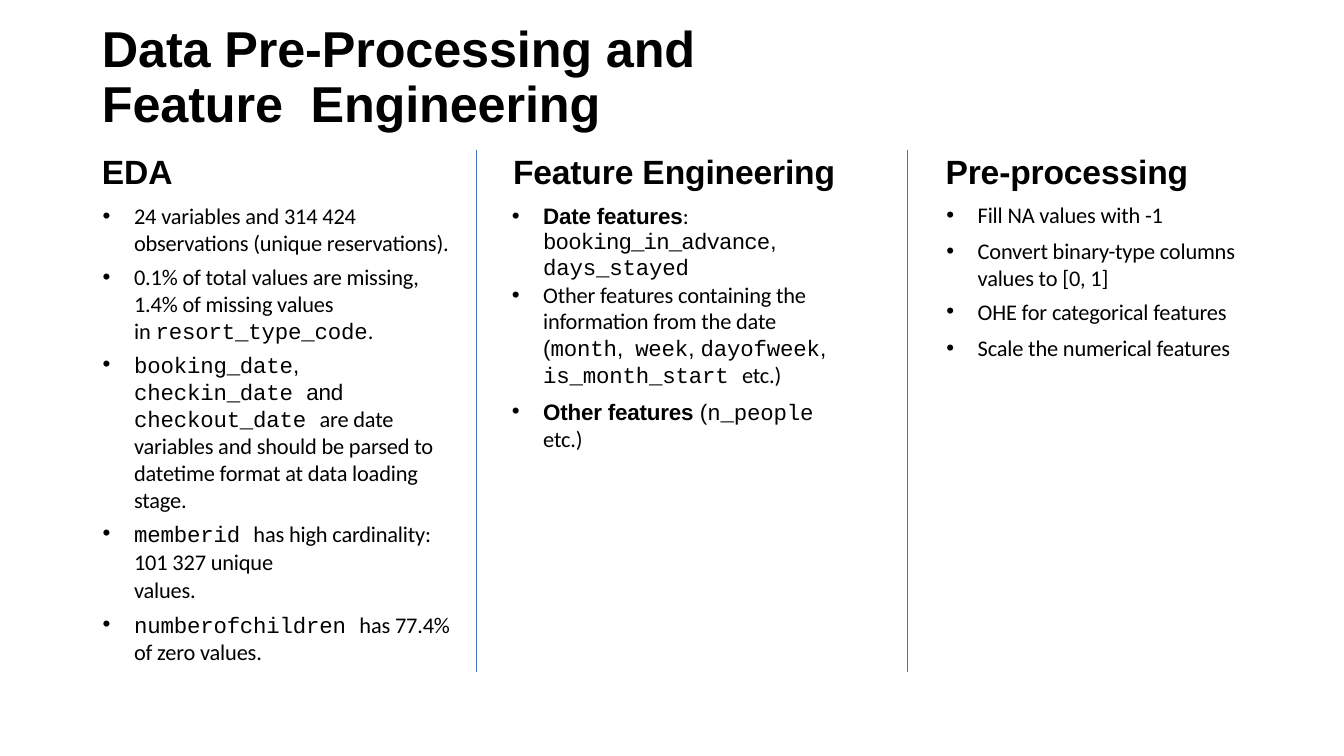
"""Build the slide on data pre-processing and feature engineering."""
from dataclasses import dataclass

import pptx
import pptx.dml.color
import pptx.enum.shapes
import pptx.enum.text
import pptx.oxml
import pptx.oxml.ns
import pptx.oxml.xmlchemy
import pptx.util
from pptx.util import Cm, Pt


@dataclass(frozen=True)
class Theme:
    """Colours, fonts and type sizes in points."""
    text: str = "000000"
    rule: str = "4471C4"
    heading_font: str = "Arial"
    body_font: str = "Calibri"
    code_font: str = "Courier New"
    title: int = 36
    heading: int = 24
    body: int = 16


THEME = Theme()


@dataclass(frozen=True)
class Run:
    """A stretch of text in one format; a newline is a line break."""
    text: str
    font: str = THEME.body_font
    bold: bool = False
    size: int = THEME.body
    tracking: float = -0.1


@dataclass(frozen=True)
class Para:
    """A paragraph with its spacing, in points or as a factor."""
    runs: list[Run]
    before: float = 0
    lines: float | pptx.util.Length = 1.0
    bullet: bool = True
    indent: float = 0.84


@dataclass(frozen=True)
class Box:
    """A text box in centimetres."""
    left: float
    top: float
    width: float
    height: float
    inset_top: float
    paras: list[Para]
    inset_right: float = 0


@dataclass(frozen=True)
class Column:
    """A heading with the body under it."""
    heading: str
    heading_left: float
    body: Box


def code(text: str, tracking: float = -0.1) -> Run:
    """Return a run in the code font."""
    return Run(text, THEME.code_font, tracking=tracking)


def sans(text: str, bold: bool = False) -> Run:
    """Return a run in the heading font at body size."""
    return Run(text, THEME.heading_font, bold)


def heading_para(text: str, size: int, before: float, lines=1.0) -> Para:
    """Return a bold paragraph without a bullet."""
    run = Run(text, THEME.heading_font, True, size)
    return Para([run], before, lines, bullet=False, indent=0.03)


def add_run(p, run: Run) -> None:
    """Add one run, breaking the line at each newline."""
    for i, text in enumerate(run.text.split("\n")):
        if i:
            p.add_line_break()
        r = p.add_run()
        r.text = text
        r.font.name = run.font
        r.font.size = Pt(run.size)
        r.font.bold = run.bold
        r.font.color.rgb = pptx.dml.color.RGBColor.from_string(THEME.text)
        r.font._element.set("spc", str(round(run.tracking * 100)))


def add_para(p, para: Para) -> None:
    """Fill and format one paragraph."""
    p.space_before = Pt(para.before)
    p.line_spacing = para.lines
    pPr = p._p.get_or_add_pPr()
    pPr.set("marL", str(Cm(para.indent)))
    if para.bullet:
        pPr.set("indent", str(Cm(-0.79)))
        ns = pptx.oxml.ns.nsdecls("a")
        for xml in (f'<a:buFont {ns} typeface="Arial"/>', f'<a:buChar {ns} char="•"/>'):
            pPr.append(pptx.oxml.parse_xml(xml))
    for run in para.runs:
        add_run(p, run)


def add_box(s, box: Box) -> None:
    """Draw one text box."""
    sp = s.shapes.add_textbox(*map(Cm, (box.left, box.top, box.width, box.height)))
    tf = sp.text_frame
    tf.word_wrap = True
    tf.auto_size = pptx.enum.text.MSO_AUTO_SIZE.NONE
    tf.margin_left = tf.margin_bottom = 0
    tf.margin_top, tf.margin_right = Cm(box.inset_top), Cm(box.inset_right)
    for i, para in enumerate(box.paras):
        add_para(tf.add_paragraph() if i else tf.paragraphs[0], para)


def add_column(s, column: Column) -> None:
    """Draw a column heading and its body."""
    heading = heading_para(column.heading, THEME.heading, 1)
    add_box(s, Box(column.heading_left, 3.78, 8.94, 1.09, 0.03, [heading]))
    add_box(s, column.body)


def add_rule(s, x: float) -> None:
    """Draw a vertical rule between two columns."""
    kind = pptx.enum.shapes.MSO_CONNECTOR.STRAIGHT
    line = s.shapes.add_connector(kind, Cm(x), Cm(3.78), Cm(x), Cm(16.94))
    line.line.color.rgb = pptx.dml.color.RGBColor.from_string(THEME.rule)
    line.line.width = Pt(0.5)
    effects = pptx.oxml.parse_xml(f'<a:effectLst {pptx.oxml.ns.nsdecls("a")}/>')
    line._element.spPr.append(effects)


TITLE = Box(2.54, 0.36, 19.63, 3, 0.2, [
    heading_para("Data Pre-Processing and Feature  Engineering", THEME.title, 5.5, Pt(39.4))])

EDA = Box(2.54, 5.05, 8.94, 11.07, 0.05, [
    Para([Run("24 variables and 314 424 observations (unique reservations).")], 1.8, Pt(19)),
    Para([Run("0.1% of total values are missing, 1.4% of missing values")], 5.8, Pt(19)),
    Para([Run("in "), code("resort_type_code"), Run(".")], 0.1, bullet=False),
    Para([code("booking_date"), sans(", "), code("checkin_date "), sans("and "),
          code("checkout_date "),
          Run("are date variables and should be parsed to datetime format "
              "at data loading stage.")], 4.8, 1.01),
    Para([code("memberid "), Run("has high cardinality:  101 327 unique\nvalues.")], 4, 1.04),
    Para([code("numberofchildren "), Run("has 77.4% of zero values.")], 5, 1.04)])

FEATURES = Box(12.85, 5.08, 8.94, 5.66, 0.05, [
    Para([sans("Date features", True), Run(": "), code("booking_in_advance", -0.6),
          sans(", "), code("days_stayed")], 1.6, 0.96),
    Para([Run("Other features containing the information from the date "), sans("("),
          code("month"), sans(",  "), code("week"), sans(", "), code("dayofweek"),
          sans(", "), code("is_month_start "), Run("etc.)")], 0.8, 0.99),
    Para([sans("Other features ", True), sans("("), code("n_people "), Run("etc.)")], 6.7)],
    inset_right=0.18)

PREPROCESSING = Box(23.8, 4.85, 7.47, 4.29, 0.23, [
    Para([Run("Fill NA values with -1")], 6.8),
    Para([Run("Convert binary-type columns values to [0, 1]")], 6.5, Pt(19)),
    Para([Run("OHE for categorical features")], 5),
    Para([Run("Scale the numerical features")], 7)])

COLUMNS = [Column("EDA", 2.54, EDA),
           Column("Feature Engineering", 12.9, FEATURES),
           Column("Pre-processing", 23.8, PREPROCESSING)]


def main() -> None:
    """Build and save the slide."""
    prs = pptx.Presentation()
    prs.slide_width, prs.slide_height = Cm(33.87), Cm(19.05)
    s = prs.slides.add_slide(prs.slide_layouts[6])
    add_box(s, TITLE)
    for column in COLUMNS:
        add_column(s, column)
    for x in (12.01, 22.86):
        add_rule(s, x)
    prs.save("out.pptx")


if __name__ == "__main__":
    main()
